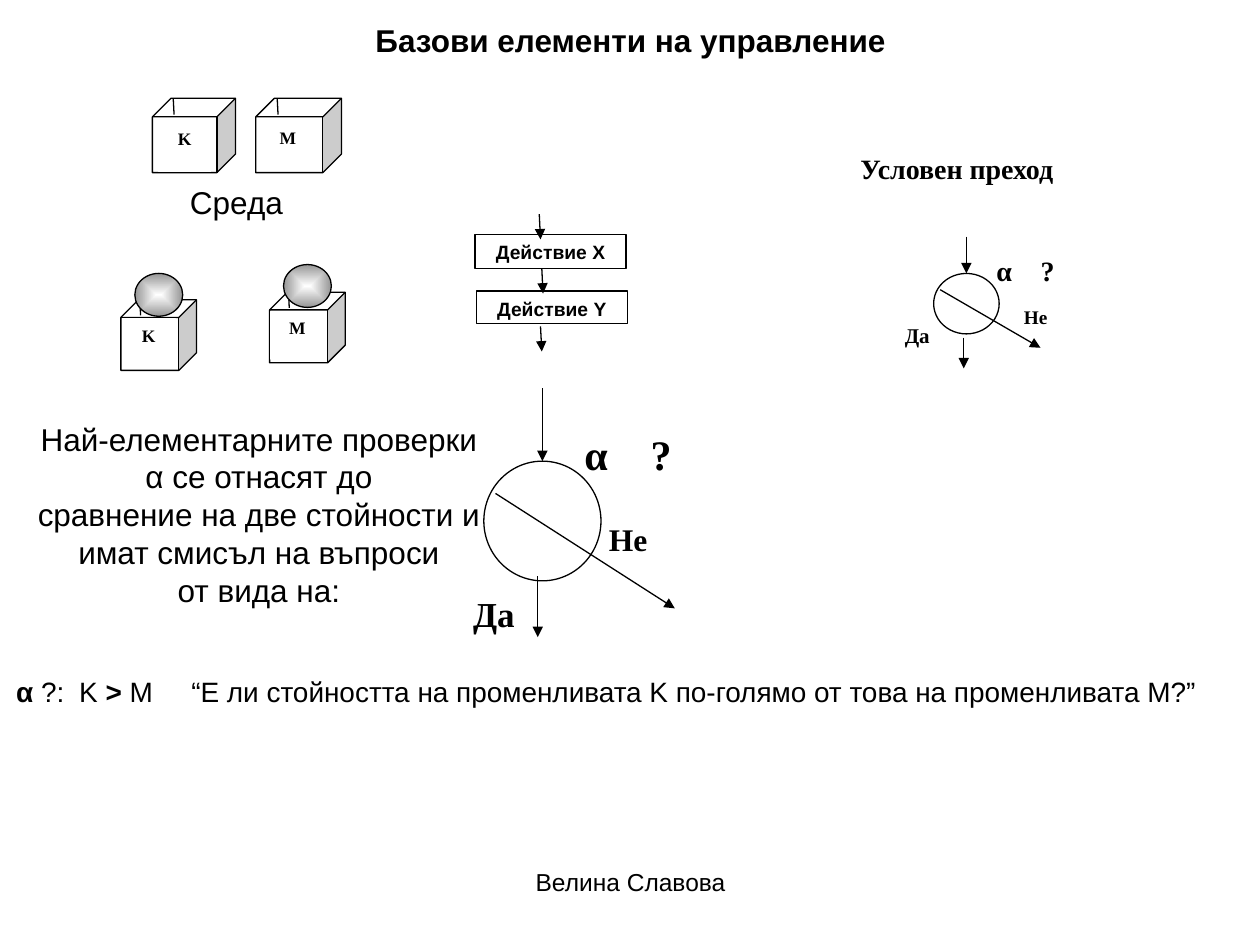
from dataclasses import dataclass
from typing import NamedTuple, Optional

from lxml.etree import SubElement as Sub
from pptx import Presentation
from pptx.dml.color import RGBColor
from pptx.enum.shapes import MSO_CONNECTOR as Link, MSO_SHAPE as Kind
from pptx.enum.text import MSO_ANCHOR as Anchor, MSO_AUTO_SIZE as Fit, PP_ALIGN as Align
from pptx.oxml import parse_xml
from pptx.oxml.ns import qn
from pptx.util import Inches, Pt

COLS, ROWS = 100, 75  # lengths below are in columns and rows of this grid
BLACK, WHITE, GREY = "000000", "FFFFFF", "969696"
SANS, SERIF = "Arial", "Times New Roman"

deck = Presentation()
deck.slide_width, deck.slide_height = Inches(10), Inches(7.5)
CELL = deck.slide_width / COLS
slide = deck.slides.add_slide(deck.slide_layouts[6])


class Box(NamedTuple):
    x: float
    y: float
    w: float
    h: float

    def at(self, right: float, down: float) -> tuple[float, float]:
        """Point at a share of the width and height."""
        return self.x + right * self.w, self.y + down * self.h


class Run(NamedTuple):
    text: str
    bold: bool = False


class Style(NamedTuple):
    size: float
    face: str = SERIF
    align: Align = Align.CENTER
    tabs: tuple[float, ...] = ()


@dataclass
class Crate:
    letter: str
    box: Box
    label: Box
    ball: Optional[Box] = None


@dataclass
class Fork:
    ring: Box
    exit: float  # start of the "yes" arrow, as a share of the ring's height
    ask: Box
    ask_tab: float
    ask_size: float
    no: Box
    no_size: float
    yes: Box
    yes_size: float


def span(*cells: float) -> list[int]:
    return [round(c * CELL) for c in cells]


def paint(code: str) -> RGBColor:
    return RGBColor.from_string(code)


def write(frame, paras: list[list[Run]], style: Style) -> None:
    for i, runs in enumerate(paras):
        para = frame.paragraphs[0] if i == 0 else frame.add_paragraph()
        para.alignment = style.align
        if style.tabs:
            stops = Sub(para._p.get_or_add_pPr(), qn("a:tabLst"))
            for pos in span(*style.tabs):
                Sub(stops, qn("a:tab"), pos=str(pos), algn="l")
        for part in runs:
            run = para.add_run()
            run.text = part.text
            font = run.font
            font.size, font.name, font.bold = Pt(style.size), style.face, part.bold
            font.color.rgb = paint(BLACK)


def text(box: Box, paras: list[list[Run]], style: Style, wrap: bool = True,
         grow: bool = False, anchor: Anchor = Anchor.TOP):
    frame = slide.shapes.add_textbox(*span(*box)).text_frame
    frame.word_wrap, frame.vertical_anchor = wrap, anchor
    frame.auto_size = Fit.SHAPE_TO_FIT_TEXT if grow else Fit.NONE
    write(frame, paras, style)
    return frame


def solid(home, kind: Kind, box: Box, edge: str = BLACK):
    shape = home.add_shape(kind, *span(*box))
    shape.shadow.inherit = False
    shape.fill.solid()
    shape.fill.fore_color.rgb = paint(WHITE)
    shape.line.color.rgb = paint(edge)
    shape.line.width = Pt(0.75)
    return shape


def panel(home, box: Box, words: str, style: Style, edge: str = BLACK) -> None:
    frame = solid(home, Kind.RECTANGLE, box, edge).text_frame
    frame.word_wrap, frame.vertical_anchor = True, Anchor.TOP
    write(frame, [[Run(words, True)]], style)


def line(home, start: tuple, end: tuple, arrow: bool = True) -> None:
    link = home.add_connector(Link.STRAIGHT, *span(*start, *end))
    link.line.color.rgb = paint(BLACK)
    link.line.width = Pt(0.75)
    if arrow:
        Sub(link.line._get_or_add_ln(), qn("a:tailEnd"), type="triangle")
    Sub(link._element.spPr, qn("a:effectLst"))


def glow(box: Box) -> None:
    """Ball that is white in the middle and grey at the rim."""
    props = solid(slide.shapes, Kind.OVAL, box)._element.spPr
    stops = "".join(f'<a:gs pos="{pos}"><a:srgbClr val="{code}"/></a:gs>'
                    for pos, code in ((0, WHITE), (100000, GREY)))
    props.replace(props.find(qn("a:solidFill")), parse_xml(
        '<a:gradFill xmlns:a="http://schemas.openxmlformats.org/drawingml/2006/main">'
        f'<a:gsLst>{stops}</a:gsLst><a:path path="rect">'
        '<a:fillToRect l="50000" t="50000" r="50000" b="50000"/></a:path></a:gradFill>'))


def draw_crate(crate: Crate) -> None:
    home = slide.shapes.add_group_shape().shapes
    solid(home, Kind.CUBE, crate.box)
    line(home, crate.box.at(0.25, 0), crate.box.at(0.26, 0.22), arrow=False)
    panel(home, crate.label, crate.letter, Style(10), WHITE)
    if crate.ball:
        glow(crate.ball)


def draw_fork(fork: Fork) -> None:
    ring, home = fork.ring, slide.shapes
    solid(home, Kind.OVAL, ring)
    line(home, ring.at(0.5, -0.61), ring.at(0.5, 0))
    line(home, ring.at(0.1, 0.27), ring.at(1.63, 1.23))
    line(home, ring.at(0.46, fork.exit), ring.at(0.46, fork.exit + 0.51))
    ask = Style(fork.ask_size, align=Align.LEFT, tabs=(fork.ask_tab,))
    text(fork.ask, [[Run("α\t?", True)]], ask)
    text(fork.no, [[Run("Не", True)]], Style(fork.no_size))
    text(fork.yes, [[Run("Да", True)]], Style(fork.yes_size))


CRATES = [
    Crate("K", Box(9.6, 23.8, 6, 5.6), Box(9.7, 25.3, 4.2, 3.8), Box(10.7, 21.7, 3.8, 3.4)),
    Crate("M", Box(21.4, 23.2, 6, 5.6), Box(21.5, 24.7, 4.2, 3.8), Box(22.5, 21, 3.8, 3.4)),
    Crate("M", Box(20.3, 7.8, 6.8, 5.9), Box(20.5, 9.6, 4.7, 3.8)),
    Crate("K", Box(12.1, 7.8, 6.6, 5.9), Box(12.6, 9.7, 4.1, 3.9)),
]
FORKS = [
    Fork(Box(38.4, 36.6, 9.3, 9.5), 0.96, Box(45.4, 33.5, 11.5, 4.5), 5.25, 24,
         Box(44.2, 40.8, 11.3, 6), 18, Box(35.5, 46.5, 7.4, 4), 20),
    Fork(Box(74.1, 21.7, 5.2, 4.8), 1.06, Box(78.1, 19.6, 7.5, 3), 3.5, 16,
         Box(79, 23.7, 6.4, 3), 11, Box(69.1, 25.1, 7.4, 4), 12),
]
STEPS = [("Действие X", Box(37.7, 18.6, 12, 2.7)), ("Действие Y", Box(37.8, 23.1, 12, 2.6))]
FLOW = [(42.8, 17), (43, 21.3), (42.9, 25.9)]

for crate in CRATES:
    draw_crate(crate)
for fork in FORKS:
    draw_fork(fork)
for words, box in STEPS:
    panel(slide.shapes, box, words, Style(11, SANS))
for x, y in FLOW:
    line(slide.shapes, (x, y), (x + 0.1, y + 2))

title = text(Box(24.8, 0, 46.7, 5.1), [[Run("Базови елементи на управление", True)]],
             Style(18, SANS, Align.LEFT), wrap=False, grow=True, anchor=Anchor.MIDDLE)
title.margin_left, title.margin_top, title.margin_bottom = span(5, 1.7, 0.4)
text(Box(14.1, 14, 9.4, 4), [[Run("Среда")]], Style(18, SANS, Align.LEFT),
     wrap=False, grow=True)
text(Box(67.3, 11.5, 23.7, 4), [[Run("Условен преход", True)]], Style(16, align=Align.LEFT))
text(Box(2, 32.8, 37.1, 16), [
    [Run("Най-елементарните проверки α се отнасят до")],
    [Run("сравнение на две стойности и имат смисъл на въпроси")],
    [Run("от вида на:")],
], Style(18, SANS), grow=True, anchor=Anchor.MIDDLE)
text(Box(0.3, 53, 96.2, 3.7), [[
    Run("α", True), Run(" ?:\tK"), Run(" >", True),
    Run(" M\t“Е ли стойността на променливата K по-голямо от това на променливата M?”"),
]], Style(16, SANS, Align.JUSTIFY, (5, 13.9)), wrap=False, grow=True, anchor=Anchor.MIDDLE)
text(Box(34.2, 68.3, 31.7, 5.2), [[Run("Велина Славова")]], Style(14, SANS))

deck.save("out.pptx")
